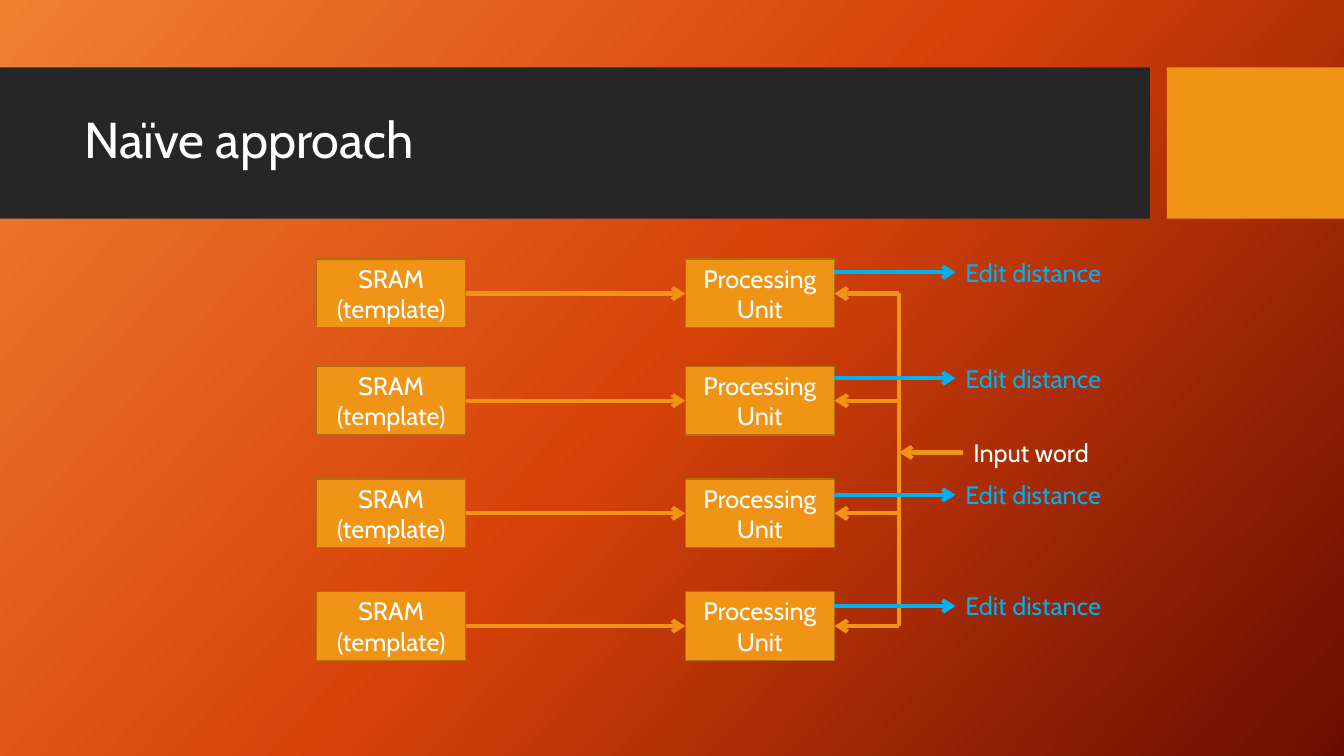
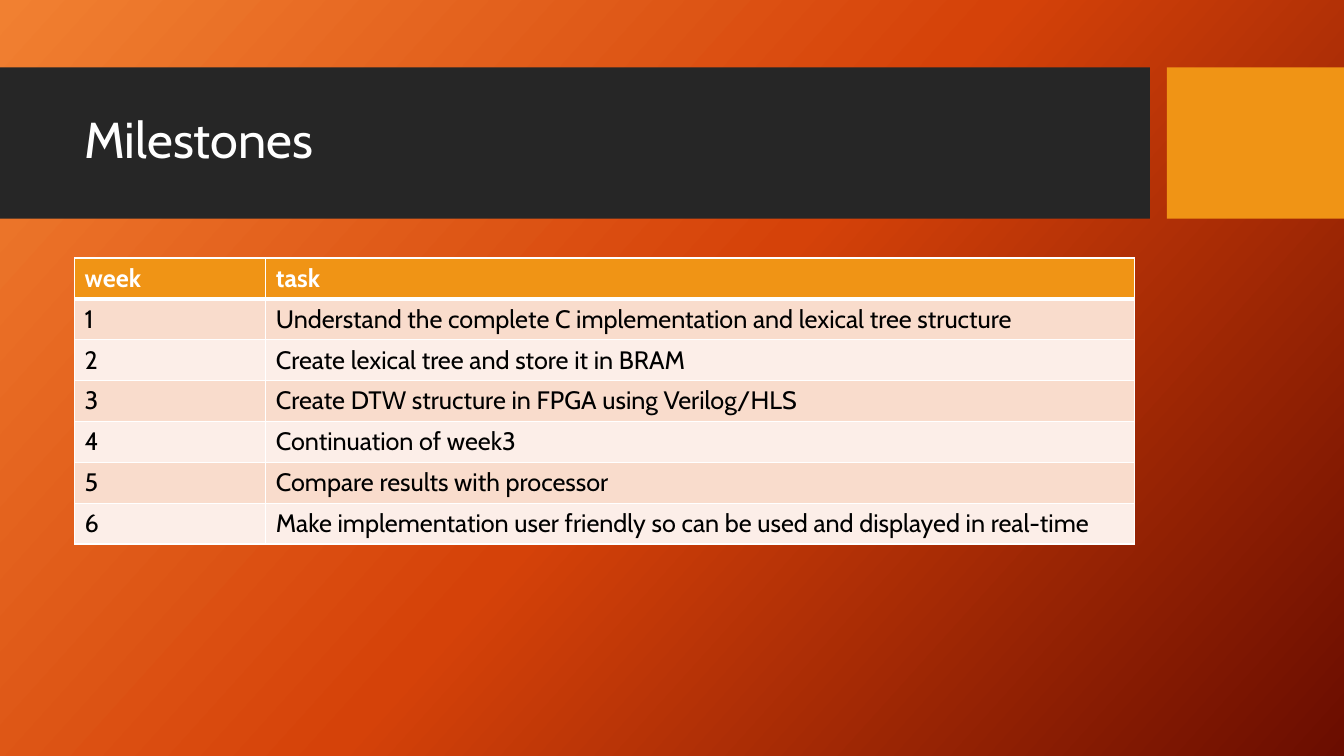
from copy import deepcopy

from lxml.etree import SubElement
from pptx import Presentation
from pptx.dml.color import RGBColor
from pptx.enum.shapes import MSO_CONNECTOR as Link, MSO_SHAPE as Shape
from pptx.enum.text import MSO_ANCHOR as Anchor, PP_ALIGN as Align
from pptx.oxml.ns import qn
from pptx.util import Cm, Pt

FONT = "Cabin"
WHITE, BLACK, DARK = "FFFFFF", "000000", "262626"
AMBER, EDGE, BLUE = "F09415", "B26D10", "00B0F0"
BANDS = ["F9DCCC", "FCEEE8"]
GLOW = [(0, "F18031"), (0.5, "D54209"), (1, "6A0D00")]
WIDE, HIGH = 33.87, 19.05

STAGES = [(7.98, "SRAM\n(template)"), (17.27, "Processing\nUnit")]
BOX_W, BOX_H = 3.76, 1.73
ROWS = [(6.53, 6.86), (9.23, 9.53), (12.07, 12.47), (14.91, 15.27)]
OUTPUT, INPUT = "Edit distance", "Input word"
BUS_X, TIP_X = 22.66, 24.08
INPUT_X, INPUT_Y = 24.28, 11.4

TASKS = [
    ("week", "task"),
    ("1", "Understand the complete C implementation and lexical tree structure"),
    ("2", "Create lexical tree and store it in BRAM"),
    ("3", "Create DTW structure in FPGA using Verilog/HLS"),
    ("4", "Continuation of week3"),
    ("5", "Compare results with processor"),
    ("6", "Make implementation user friendly so can be used and displayed in real-time"),
]
COLS, ROW_H = (4.82, 21.89), 1.03


def rgb(code):
    return RGBColor.from_string(code)


def write(frame, text, color, size=18, align=None, bold=False):
    frame.text = text
    for para in frame.paragraphs:
        para.alignment = align
        font = para.font
        font.name, font.size, font.bold = FONT, Pt(size), bold
        font.color.rgb = rgb(color)


def block(slide, x, y, w, h, fill, edge=None):
    rect = slide.shapes.add_shape(Shape.RECTANGLE, Cm(x), Cm(y), Cm(w), Cm(h))
    rect.shadow.inherit = False
    rect.fill.solid()
    rect.fill.fore_color.rgb = rgb(fill)
    if edge:
        rect.line.color.rgb = rgb(edge)
        rect.line.width = Pt(1)
    else:
        rect.line.fill.background()
    return rect


def label(slide, x, y, w, h, text, color, size=18, wrap=False):
    frame = slide.shapes.add_textbox(Cm(x), Cm(y), Cm(w), Cm(h)).text_frame
    frame.word_wrap = wrap
    write(frame, text, color, size)
    return frame


def line(slide, x1, y1, x2, y2, color, head=True):
    link = slide.shapes.add_connector(Link.STRAIGHT, Cm(x1), Cm(y1), Cm(x2), Cm(y2))
    link.line.color.rgb = rgb(color)
    link.line.width = Pt(3)
    if head:
        SubElement(link.line._get_or_add_ln(), qn("a:tailEnd"), type="arrow")
    SubElement(link._element.spPr, qn("a:effectLst"))
    return link


def start(deck, title):
    slide = deck.slides.add_slide(deck.slide_layouts[6])
    fill = slide.background.fill
    fill.gradient()
    fill.gradient_angle = 318
    stops = slide._element.find(".//" + qn("a:gsLst"))
    stops.append(deepcopy(stops[0]))
    for stop, (place, color) in zip(fill.gradient_stops, GLOW):
        stop.position = place
        stop.color.rgb = rgb(color)
    block(slide, 0, 1.7, 28.98, 3.81, DARK)
    block(slide, 29.41, 1.7, WIDE - 29.41, 3.81, AMBER)
    frame = label(slide, 1.88, 2.08, 26.7, 3, title, WHITE, 36, True)
    frame.vertical_anchor = Anchor.MIDDLE
    frame.paragraphs[0].line_spacing = 0.9
    return slide


def diagram(deck):
    slide = start(deck, "Naïve approach")
    mids = [top + BOX_H / 2 for top, _ in ROWS]
    line(slide, BUS_X, mids[0], BUS_X, mids[-1], AMBER, False)
    for (top, out), mid in zip(ROWS, mids):
        pair = []
        for x, text in STAGES:
            box = block(slide, x, top, BOX_W, BOX_H, AMBER, EDGE)
            box.text_frame.vertical_anchor = Anchor.MIDDLE
            write(box.text_frame, text, WHITE, align=Align.CENTER)
            pair.append(box)
        sram, unit = pair
        left, right = (x + BOX_W for x, _ in STAGES)
        feed = line(slide, left, mid, STAGES[1][0], mid, AMBER)
        feed.begin_connect(sram, 3)
        feed.end_connect(unit, 1)
        line(slide, BUS_X, mid, right, mid, AMBER).end_connect(unit, 3)
        line(slide, right, out, TIP_X, out, BLUE)
        label(slide, TIP_X, out - 0.51, 4.24, 1.02, OUTPUT, BLUE)
    line(slide, INPUT_X, INPUT_Y, BUS_X, INPUT_Y, AMBER)
    label(slide, INPUT_X, INPUT_Y - 0.51, 3.63, 1.02, INPUT, WHITE)


def border(cell, side, width):
    edge = SubElement(cell._tc.get_or_add_tcPr(), qn("a:" + side), w=str(Pt(width)))
    paint = SubElement(edge, qn("a:solidFill"))
    SubElement(paint, qn("a:srgbClr"), val=WHITE)


def plan(deck):
    slide = start(deck, "Milestones")
    table = slide.shapes.add_table(
        len(TASKS), len(COLS), Cm(1.88), Cm(6.5), Cm(sum(COLS)), Cm(ROW_H * len(TASKS))
    ).table
    for col, width in zip(table.columns, COLS):
        col.width = Cm(width)
    for r, row in enumerate(TASKS):
        table.rows[r].height = Cm(ROW_H)
        for c, text in enumerate(row):
            cell = table.cell(r, c)
            top, base = 3 if r == 1 else 1, 3 if r == 0 else 1
            for side, width in (("lnL", 1), ("lnR", 1), ("lnT", top), ("lnB", base)):
                border(cell, side, width)
            cell.fill.solid()
            cell.fill.fore_color.rgb = rgb(BANDS[(r - 1) % 2] if r else AMBER)
            write(cell.text_frame, text, BLACK if r else WHITE, bold=r == 0)


def main():
    deck = Presentation()
    deck.slide_width, deck.slide_height = Cm(WIDE), Cm(HIGH)
    diagram(deck)
    plan(deck)
    deck.save("out.pptx")


if __name__ == "__main__":
    main()
